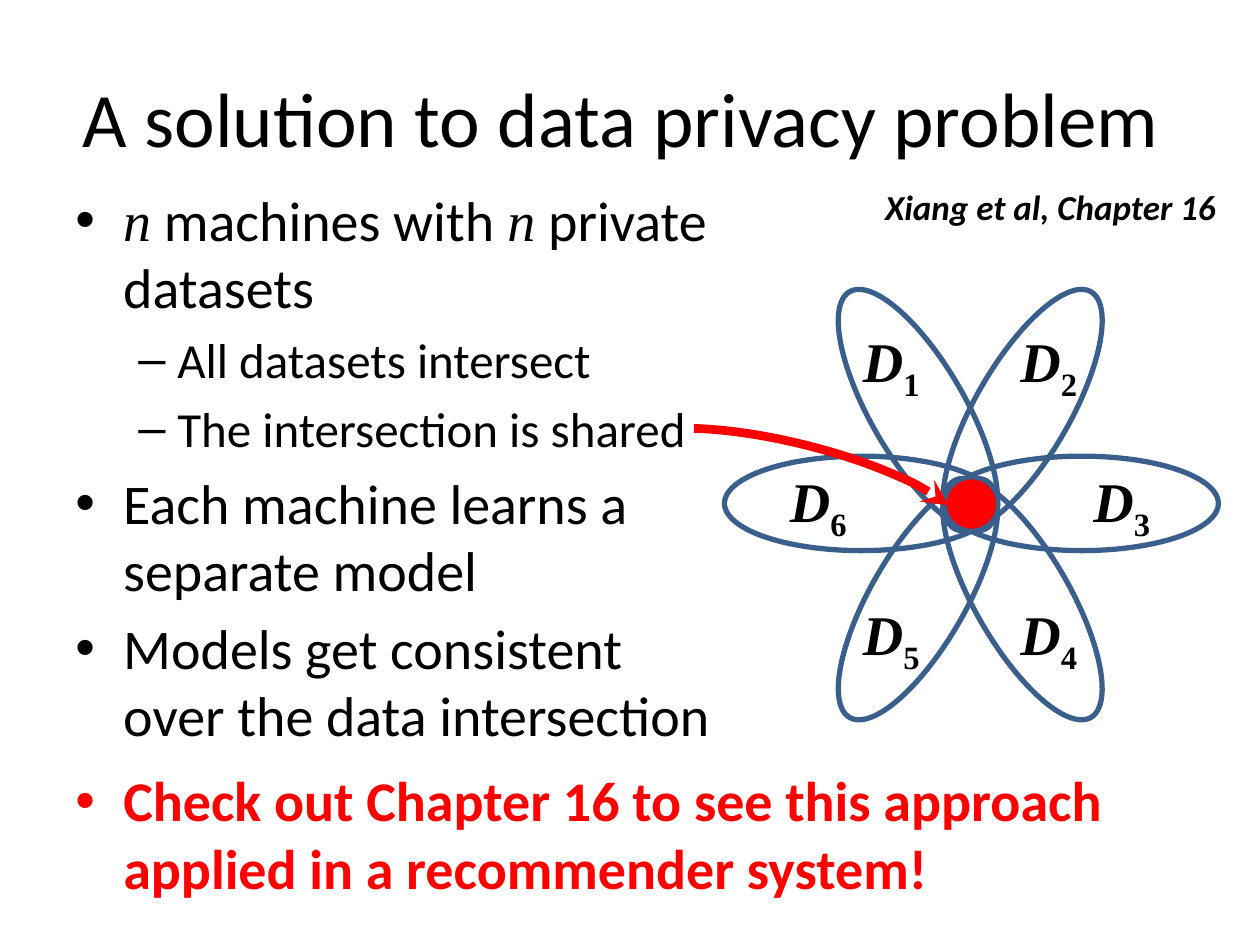
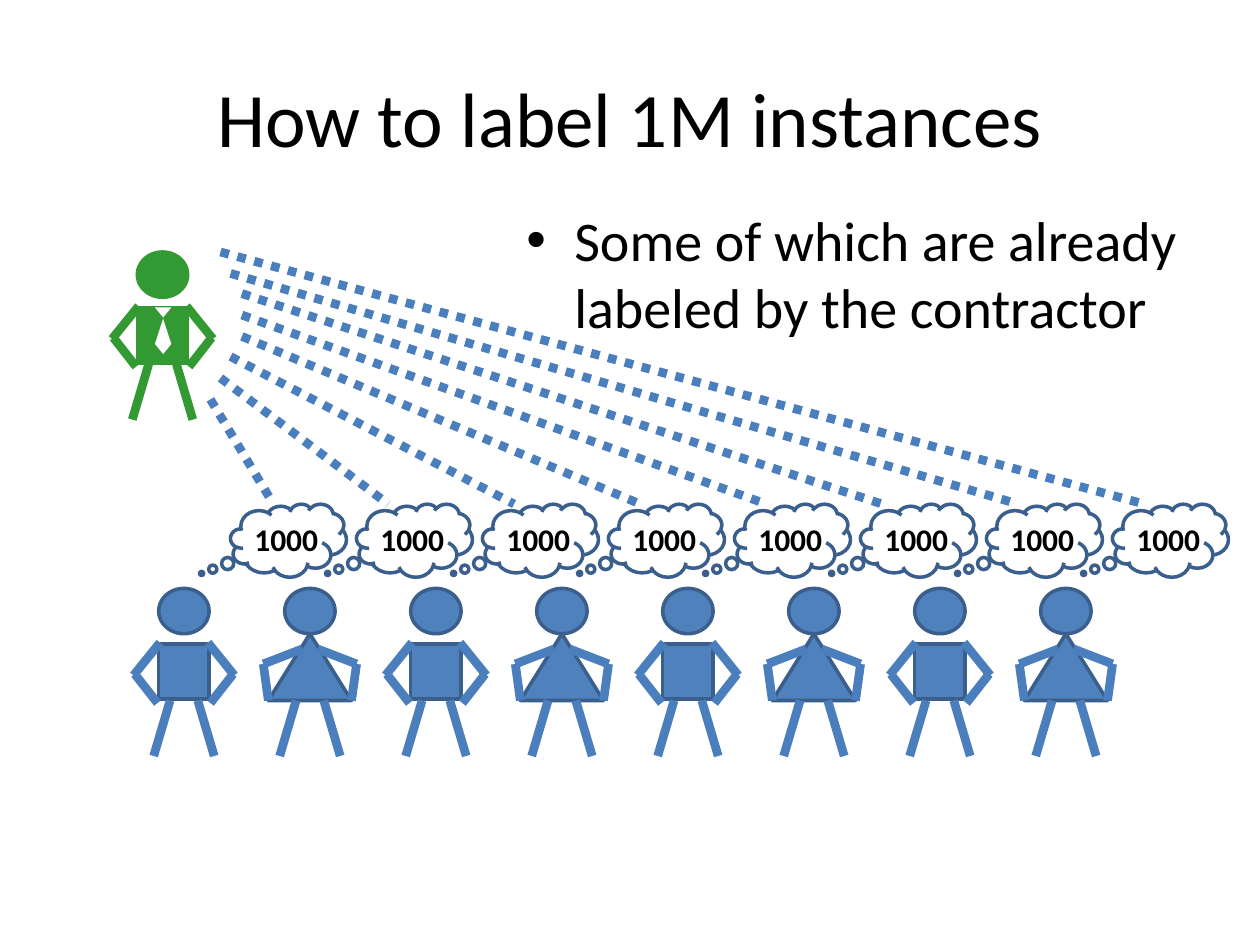
"""Build two slides: overlapping private datasets, and sharing out labelling work."""
from dataclasses import dataclass

from lxml.etree import SubElement
from pptx import Presentation
from pptx.dml.color import RGBColor
from pptx.enum.dml import MSO_LINE
from pptx.enum.shapes import MSO_CONNECTOR, MSO_SHAPE
from pptx.enum.text import MSO_ANCHOR, PP_ALIGN
from pptx.oxml.ns import qn
from pptx.util import Inches, Pt


@dataclass(frozen=True)
class Theme:
    font: str = "Calibri"
    math_font: str = "Times New Roman"
    black: str = "000000"
    white: str = "FFFFFF"
    red: str = "FF0000"
    green: str = "339933"
    blue: str = "4F81BD"
    limb_blue: str = "4B7EBC"
    outline: str = "3A5F8C"
    title_size: int = 44
    body_size: int = 32
    sub_size: int = 28
    citation_size: int = 20
    count_size: int = 18


THEME = Theme()

VARIABLE = {"font": THEME.math_font, "italic": True}
PRIVACY_TITLE = "A solution to data privacy problem "
PRIVACY_POINTS = [
    (0, [("n", VARIABLE), (" machines with ", {}), ("n", VARIABLE), (" private datasets", {})]),
    (1, "All datasets intersect"),
    (1, "The intersection is shared"),
    (0, "Each machine learns a separate model"),
    (0, "Models get consistent over the data intersection"),
]
CITATION = "Xiang et al, Chapter 16"
CALL_TO_ACTION = "Check out Chapter 16 to see this approach applied in a recommender system!"
PETAL_SIZE = (2.17, 0.75)
DATASETS = [
    {"number": "1", "petal": (6.2, 2.88), "rotation": 60, "label": (6.75, 2.54)},
    {"number": "2", "petal": (7.03, 2.88), "rotation": 120, "label": (8, 2.54)},
    {"number": "3", "petal": (7.5, 3.62), "rotation": 0, "label": (8.58, 3.65)},
    {"number": "4", "petal": (7.03, 4.38), "rotation": 60, "label": (8, 4.71)},
    {"number": "5", "petal": (6.2, 4.38), "rotation": 120, "label": (6.75, 4.71)},
    {"number": "6", "petal": (5.75, 3.62), "rotation": 0, "label": (6.17, 3.65)},
]

LABEL_TITLE = "How to label 1M instances"
LABEL_POINTS = [(0, "Some of which are already labeled by the contractor")]
INSTANCES_PER_WORKER = "1000"
WORKER_COUNT = 8
CONTRACTOR_ORIGIN = (0.83, 2)
WORKER_TOP = 4.67
CLOUD_TOP = 4
ASSIGNMENT_LINES = [
    ((1.67, 3.17), 2.17), ((1.75, 3), 3.08), ((1.83, 2.83), 4.08), ((1.92, 2.67), 5.08),
    ((1.92, 2.5), 6.08), ((1.92, 2.33), 7), ((1.83, 2.17), 8.08), ((1.75, 2), 9.08),
]

FIGURE_AXIS = 0.46
HEAD = (0.26, 0, 0.4, 0.36)
LEG = ((0.57, 0.89), (0.7, 1.33))
MAN = {
    "body": (MSO_SHAPE.RECTANGLE, (0.26, 0.44, 0.4, 0.44)),
    "limbs": [((0.65, 0.43), (0.86, 0.69)), ((0.85, 0.68), (0.67, 0.91)), LEG],
}
WOMAN = {
    "body": (MSO_SHAPE.ISOSCELES_TRIANGLE, (0.13, 0.36, 0.66, 0.53)),
    "limbs": [((0.52, 0.48), (0.83, 0.6)), ((0.83, 0.6), (0.79, 0.89)), LEG],
}
TIE = [((0.4, 0.53, 0.13, 0.2), 0), ((0.4, 0.73, 0.13, 0.08), 180), ((0.4, 0.44, 0.13, 0.08), 180)]


def color(value):
    return RGBColor.from_string(value)


def add_runs(paragraph, text, *, size=THEME.body_size, font=THEME.font, fill=THEME.black,
             bold=False, italic=False):
    pieces = [(text, {})] if isinstance(text, str) else text
    for words, changes in pieces:
        run = paragraph.add_run()
        run.text = words
        run.font.size = Pt(size)
        run.font.name = changes.get("font", font)
        run.font.bold = bold
        run.font.italic = changes.get("italic", italic)
        run.font.color.rgb = color(fill)
        if "baseline" in changes:
            run._r.get_or_add_rPr().set("baseline", str(changes["baseline"]))


def add_text_box(slide, box, *, anchor=MSO_ANCHOR.TOP):
    frame = slide.shapes.add_textbox(*map(Inches, box)).text_frame
    frame.word_wrap = True
    frame.vertical_anchor = anchor
    return frame


def add_text(slide, box, text, *, align=PP_ALIGN.LEFT, anchor=MSO_ANCHOR.TOP, **style):
    paragraph = add_text_box(slide, box, anchor=anchor).paragraphs[0]
    paragraph.alignment = align
    add_runs(paragraph, text, **style)


def add_bullets(slide, box, points, **style):
    frame = add_text_box(slide, box)
    for index, (level, text) in enumerate(points):
        paragraph = frame.add_paragraph() if index else frame.paragraphs[0]
        size, margin, hanging, mark = [
            (THEME.body_size, 0.38, 0.38, "•"),
            (THEME.sub_size, 0.81, 0.31, "–"),
        ][level]
        paragraph.level = level
        properties = paragraph._p.get_or_add_pPr()
        properties.set("marL", str(Inches(margin)))
        properties.set("indent", str(-Inches(hanging)))
        SubElement(properties, qn("a:buFont"), typeface="Arial")
        SubElement(properties, qn("a:buChar"), char=mark)
        if index:
            paragraph.space_before = Pt(size * 0.2)
        add_runs(paragraph, text, size=size, **style)


def add_figure_shape(shapes, kind, box, *, fill=None, line=None, width=2, rotation=0):
    shape = shapes.add_shape(kind, *map(Inches, box))
    shape.shadow.inherit = False
    shape.rotation = rotation
    if fill:
        shape.fill.solid()
        shape.fill.fore_color.rgb = color(fill)
    else:
        shape.fill.background()
    if line:
        shape.line.color.rgb = color(line)
        shape.line.width = Pt(width)
    else:
        shape.line.fill.background()
    return shape


def add_line(shapes, start, end, line, *, dash=None):
    connector = shapes.add_connector(MSO_CONNECTOR.STRAIGHT, *map(Inches, (*start, *end)))
    connector.line.color.rgb = color(line)
    connector.line.width = Pt(5)
    if dash:
        connector.line.dash_style = dash
    SubElement(connector._element.spPr, qn("a:effectLst"))


def add_person(slide, origin, person, *, fill, line, limb, tie=()):
    left, top = origin
    shapes = slide.shapes.add_group_shape().shapes

    def place(box):
        return (left + box[0], top + box[1], *box[2:])

    body_kind, body_box = person["body"]
    for kind, box in ((MSO_SHAPE.OVAL, HEAD), (body_kind, body_box)):
        add_figure_shape(shapes, kind, place(box), fill=fill, line=line)
    for ends in person["limbs"]:
        mirrored = [(2 * FIGURE_AXIS - x, y) for x, y in ends]
        for start, end in (ends, mirrored):
            add_line(shapes, place(start), place(end), limb)
    for box, rotation in tie:
        add_figure_shape(shapes, MSO_SHAPE.ISOSCELES_TRIANGLE, place(box),
                         fill=THEME.white, rotation=rotation)


def add_titled_slide(presentation, title, box):
    slide = presentation.slides.add_slide(presentation.slide_layouts[6])
    add_text(slide, box, title, size=THEME.title_size, align=PP_ALIGN.CENTER,
             anchor=MSO_ANCHOR.MIDDLE)
    return slide


def build_privacy_slide(presentation):
    slide = add_titled_slide(presentation, PRIVACY_TITLE, (0, 0.3, 10, 1.25))
    add_bullets(slide, (0.5, 1.42, 5.33, 5.42), PRIVACY_POINTS)
    add_text(slide, (6.25, 1.42, 3.5, 0.44), CITATION, size=THEME.citation_size,
             align=PP_ALIGN.RIGHT, bold=True, italic=True)
    for dataset in DATASETS:
        add_figure_shape(slide.shapes, MSO_SHAPE.OVAL, (*dataset["petal"], *PETAL_SIZE),
                         line=THEME.outline, width=3, rotation=dataset["rotation"])
    for dataset in DATASETS:
        name = [("D", {"italic": True}), (dataset["number"], {"baseline": -25000})]
        add_text(slide, (*dataset["label"], 0.83, 0.64), name, font=THEME.math_font, bold=True)
    add_figure_shape(slide.shapes, MSO_SHAPE.OVAL, (7.5, 3.79, 0.42, 0.42),
                     fill=THEME.red, line=THEME.outline)
    add_bullets(slide, (0.5, 6.03, 9.08, 1.25), [(0, CALL_TO_ACTION)], fill=THEME.red, bold=True)
    arrow = add_figure_shape(slide.shapes, MSO_SHAPE.ARC, (4.88, 3.52, 2.83, 0.77),
                             line=THEME.red, width=5, rotation=13.9)
    arrow.adjustments[0] = 119.25
    arrow.adjustments[1] = 210.6
    SubElement(arrow.line._get_or_add_ln(), qn("a:tailEnd"), type="stealth")


def build_labelling_slide(presentation):
    slide = add_titled_slide(presentation, LABEL_TITLE, (0.5, 0.3, 9, 1.25))
    add_person(slide, CONTRACTOR_ORIGIN, MAN, fill=THEME.green, line=THEME.green,
               limb=THEME.green, tie=TIE)
    for index in range(WORKER_COUNT):
        add_person(slide, (1 + index, WORKER_TOP), WOMAN if index % 2 else MAN,
                   fill=THEME.blue, line=THEME.outline, limb=THEME.limb_blue)
    add_bullets(slide, (4.08, 1.58, 5.5, 2.58), LABEL_POINTS)
    for index in range(WORKER_COUNT):
        cloud = add_figure_shape(slide.shapes, MSO_SHAPE.CLOUD_CALLOUT,
                                 (1.83 + index, CLOUD_TOP, 0.92, 0.58), line=THEME.outline)
        cloud.adjustments[0] = -0.75
        cloud.adjustments[1] = 0.45
        add_text(slide, (1.92 + index, CLOUD_TOP + 0.08, 0.75, 0.4), INSTANCES_PER_WORKER,
                 size=THEME.count_size, bold=True)
    for start, end_left in ASSIGNMENT_LINES:
        add_line(slide.shapes, start, (end_left, CLOUD_TOP), THEME.limb_blue,
                 dash=MSO_LINE.ROUND_DOT)


def main():
    presentation = Presentation()
    presentation.slide_width = Inches(10)
    presentation.slide_height = Inches(7.5)
    build_privacy_slide(presentation)
    build_labelling_slide(presentation)
    presentation.save("out.pptx")


if __name__ == "__main__":
    main()
